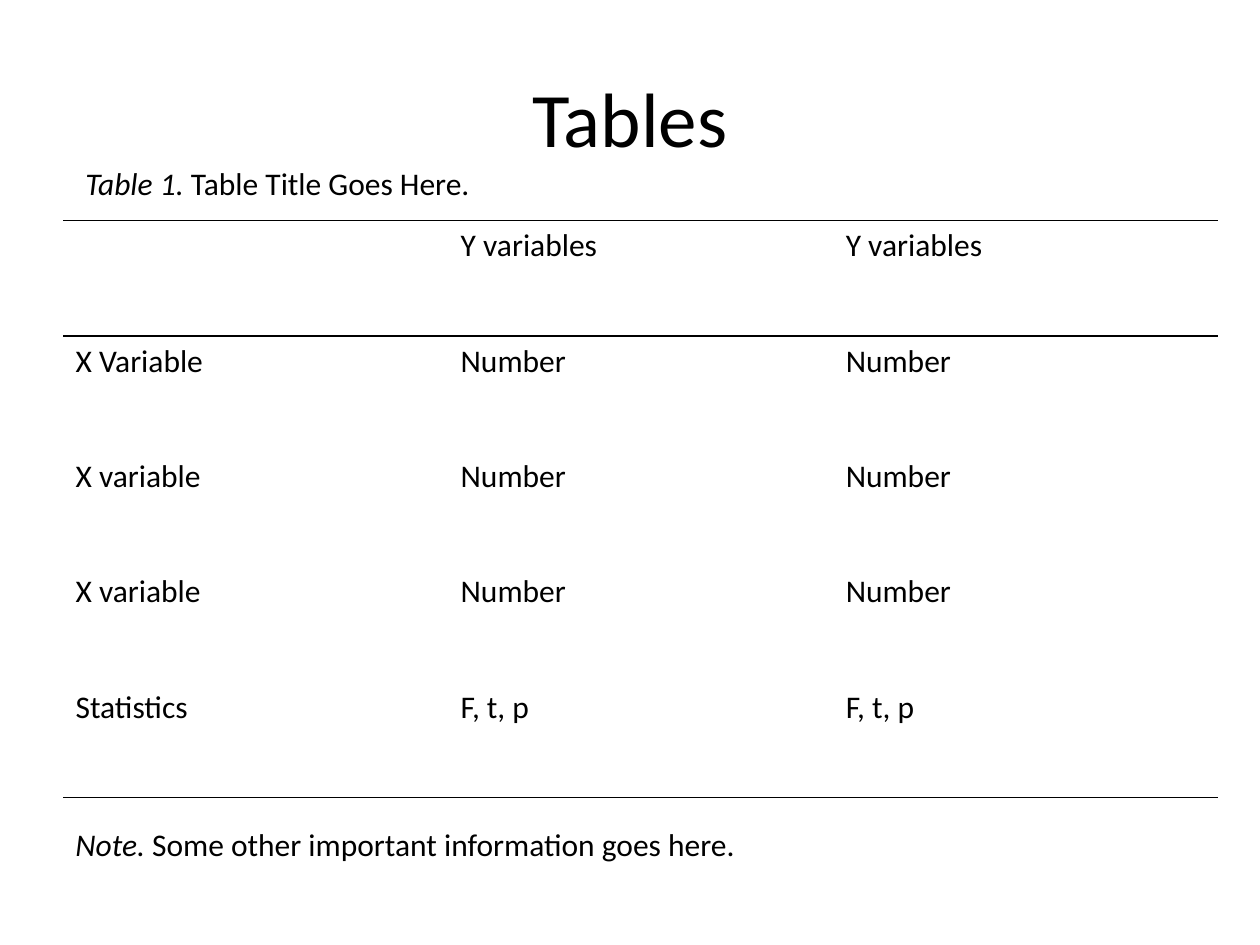
from lxml import etree
from pptx import Presentation
from pptx import util as u
from pptx.dml.color import RGBColor
from pptx.enum import text
from pptx.oxml.ns import qn

COLORS = {"ink": "000000", "paper": "FFFFFF"}
FONT = "Calibri"
ROWS = [
    ("", "Y variables", "Y variables"),
    ("X Variable", "Number", "Number"),
    ("X variable", "Number", "Number"),
    ("X variable", "Number", "Number"),
    ("Statistics", "F, t, p", "F, t, p"),
]


def inches(*box):
    """Convert a box of numbers to lengths."""
    return [u.Inches(v) for v in box]


def style_font(font, size, italic=False):
    """Apply the slide's typeface and ink colour to a font."""
    font.name = FONT
    font.size = u.Pt(size)
    font.italic = italic
    font.color.rgb = RGBColor.from_string(COLORS["ink"])


def add_title(s, title, box):
    """Fill and place the title placeholder."""
    sp = s.shapes.title
    sp.left, sp.top, sp.width, sp.height = inches(*box)
    tf = sp.text_frame
    tf.text = title
    tf.vertical_anchor = text.MSO_ANCHOR.MIDDLE
    p = tf.paragraphs[0]
    p.alignment = text.PP_ALIGN.CENTER
    style_font(p.runs[0].font, 44)


def add_caption(s, label, wording, box):
    """Add a one-line caption that opens with an italic label."""
    tf = s.shapes.add_textbox(*inches(*box)).text_frame
    tf.word_wrap = False
    tf.auto_size = text.MSO_AUTO_SIZE.SHAPE_TO_FIT_TEXT
    p = tf.paragraphs[0]
    for words, italic in ((label, True), (wording, False)):
        r = p.add_run()
        r.text = words
        style_font(r.font, 18, italic)


def set_borders(cell, ruled):
    """Rule the named sides of a cell and clear the others."""
    tc_pr = cell._tc.get_or_add_tcPr()
    for side in ("lnL", "lnR", "lnT", "lnB"):
        ln = etree.SubElement(tc_pr, qn(f"a:{side}"), w=str(u.Pt(1)))
        if side in ruled:
            fill = etree.SubElement(ln, qn("a:solidFill"))
            etree.SubElement(fill, qn("a:srgbClr"), val=COLORS["ink"])
        else:
            etree.SubElement(ln, qn("a:noFill"))


def add_results_table(s, rows, box):
    """Add an open table ruled around its header and below its last row."""
    frame = s.shapes.add_table(len(rows), len(rows[0]), *inches(*box))
    table = frame.table
    table.first_row = table.horz_banding = False
    rules = {0: ("lnT", "lnB"), 1: ("lnT",), len(rows) - 1: ("lnB",)}
    for i, row in enumerate(rows):
        for j, words in enumerate(row):
            cell = table.cell(i, j)
            set_borders(cell, rules.get(i, ()))
            cell.fill.background()
            cell.text = words
            style_font(cell.text_frame.paragraphs[0].font, 18)


def main():
    """Build and save the slide."""
    prs = Presentation()
    prs.slide_width, prs.slide_height = inches(10, 7.5)
    s = prs.slides.add_slide(prs.slide_layouts[5])
    s.background.fill.solid()
    s.background.fill.fore_color.rgb = RGBColor.from_string(COLORS["paper"])
    add_title(s, "Tables", (0.5, 0.3, 9, 1.25))
    add_results_table(s, ROWS, (0.5, 1.75, 9.17, 4.58))
    add_caption(s, "Table 1. ", "Table Title Goes Here.", (0.58, 1.25, 3.29, 0.4))
    add_caption(s, "Note. ", "Some other important information goes here.",
                (0.5, 6.5, 5.5, 0.4))
    prs.save("out.pptx")


if __name__ == "__main__":
    main()
